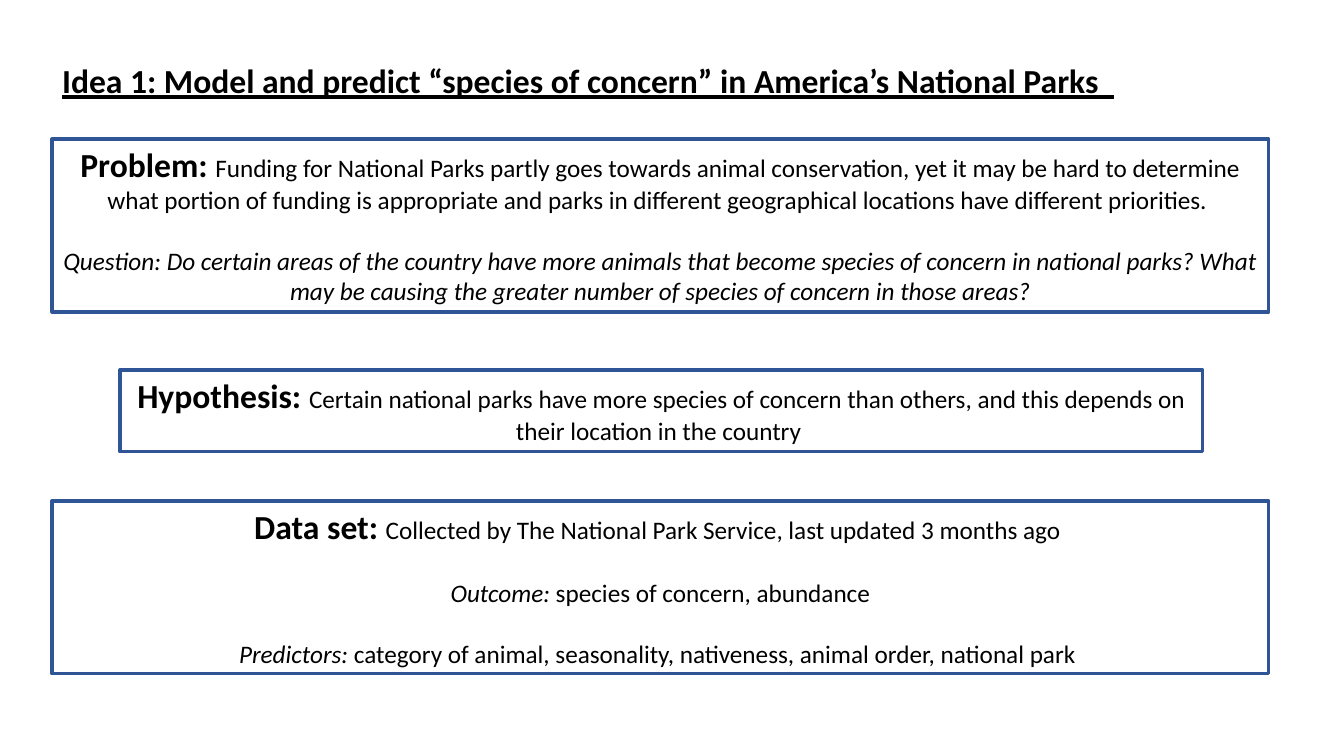
import pptx
import pptx.dml.color
import pptx.enum.shapes
import pptx.enum.text
import pptx.util

EMU_PER_PX = 914400 / 100.8
BLACK = pptx.dml.color.RGBColor(0x00, 0x00, 0x00)
BLUE = pptx.dml.color.RGBColor(0x2F, 0x55, 0x97)
ALIGN = pptx.enum.text.PP_ALIGN
ANCHOR = pptx.enum.text.MSO_ANCHOR
FIT = pptx.enum.text.MSO_AUTO_SIZE.SHAPE_TO_FIT_TEXT


def px(length):
    return pptx.util.Emu(round(length * EMU_PER_PX))


class IdeaPage:
    """The current slide and the style its elements share."""
    font_name = "Calibri"
    heading_size = pptx.util.Pt(24)
    body_size = pptx.util.Pt(18)
    paragraph_gap = pptx.util.Pt(22)
    border_width = pptx.util.Pt(2.25)

    def __init__(self, deck):
        self.page = deck.slides.add_slide(deck.slide_layouts.get_by_name("Title Only"))

    def style(self, font, size):
        font.name = self.font_name
        font.size = size
        font.color.rgb = BLACK

    def title(self, text, left, top, width, height):
        title = self.page.shapes.title
        title.left, title.top, title.width, title.height = map(px, (left, top, width, height))
        frame = title.text_frame
        frame.text = text
        frame.word_wrap = False
        frame.auto_size = FIT
        frame.vertical_anchor = ANCHOR.TOP
        para = frame.paragraphs[0]
        para.alignment = ALIGN.LEFT
        self.style(para.font, self.heading_size)
        para.font.bold = True
        para.font.underline = True

    def box(self, heading, text, details, left, top, width, height):
        """Outlined box: heading and text, then (italic, plain) detail lines."""
        box = self.page.shapes.add_shape(
            pptx.enum.shapes.MSO_SHAPE.RECTANGLE, *map(px, (left, top, width, height)))
        box.shadow.inherit = False
        box.fill.background()
        box.line.color.rgb = BLUE
        box.line.width = self.border_width
        frame = box.text_frame
        frame.word_wrap = True
        frame.auto_size = FIT
        frame.vertical_anchor = ANCHOR.TOP

        para = frame.paragraphs[0]
        para.alignment = ALIGN.CENTER
        self.style(para.font, self.body_size)
        span = para.add_run()
        span.text = heading + " "
        self.style(span.font, self.heading_size)
        span.font.bold = True
        self.span(para, text)

        for italic_text, plain_text in details:
            para = frame.add_paragraph()
            para.alignment = ALIGN.CENTER
            para.space_before = self.paragraph_gap
            self.style(para.font, self.body_size)
            self.span(para, italic_text, italic=True)
            if plain_text:
                self.span(para, plain_text)

    def span(self, para, text, italic=False):
        span = para.add_run()
        span.text = text
        self.style(span.font, self.body_size)
        span.font.italic = italic


def main():
    deck = pptx.Presentation()
    deck.slide_width, deck.slide_height = px(1344), px(756)
    idea = IdeaPage(deck)
    idea.title("Idea 1: Model and predict “species of concern” in America’s National Parks  ",
               52, 55, 1083, 50)
    idea.box(
        "Problem:",
        "Funding for National Parks partly goes towards animal conservation, yet it may be "
        "hard to determine what portion of funding is appropriate and parks in different "
        "geographical locations have different priorities. ",
        [("Question: Do certain areas of the country have more animals that become species "
          "of concern in national parks? What may be causing the greater number of species "
          "of concern in those areas?", "")],
        52, 139, 1217, 173)
    idea.box(
        "Hypothesis:",
        "Certain national parks have more species of concern than others, and this depends "
        "on their location in the country ",
        [], 120, 370, 1083, 82)
    idea.box(
        "Data set:",
        "Collected by The National Park Service, last updated 3 months ago ",
        [("Outcome:", " species of concern, abundance"),
         ("Predictors:", " category of animal, seasonality, nativeness, animal order, "
                         "national park ")],
        52, 501, 1217, 173)
    deck.save("out.pptx")


if __name__ == "__main__":
    main()
